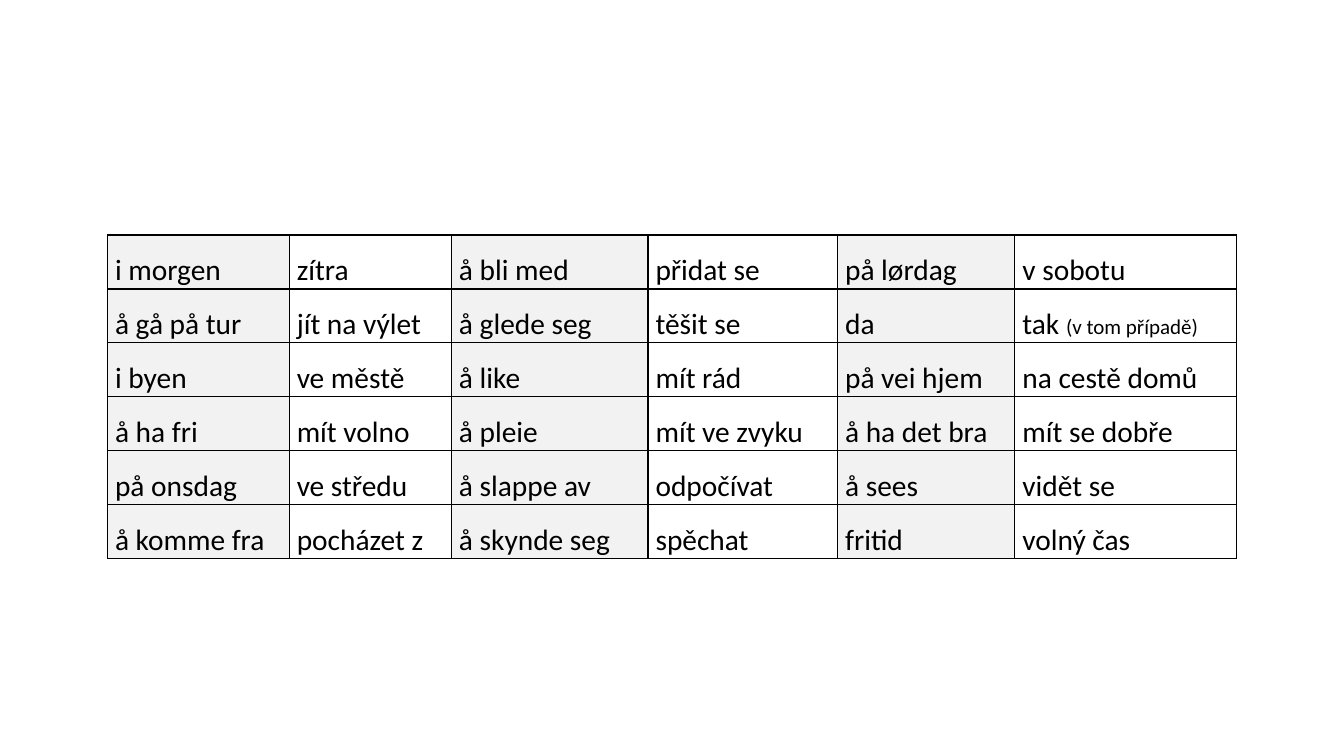
"""Build a Norwegian-Czech vocabulary slide with one six-column table."""
from dataclasses import dataclass
from typing import Optional

from lxml import etree
from pptx import Presentation
from pptx.dml.color import RGBColor
from pptx.enum.text import PP_ALIGN
from pptx.oxml.ns import qn
from pptx.util import Pt

JUSTIFY = PP_ALIGN.JUSTIFY
BLACK = RGBColor(0x00, 0x00, 0x00)
LIGHT_GREY = RGBColor(0xF2, 0xF2, 0xF2)
FONT = "Calibri"
WORD_SIZE = Pt(21)
NOTE_SIZE = Pt(15)
SIDE_MARGIN = Pt(5.4)
BORDER_WIDTH = Pt(1)
ROW_HEIGHT = Pt(26.64)
BORDER_TAGS = ("a:lnL", "a:lnR", "a:lnT", "a:lnB")


@dataclass(frozen=True)
class WordColumn:
    width: float
    words: tuple[str, ...]
    fill: Optional[RGBColor] = None


COLUMNS = (
    WordColumn(129.8, ("i morgen", "å gå på tur", "i byen", "å ha fri",
                       "på onsdag", "å komme fra"), LIGHT_GREY),
    WordColumn(115.9, ("zítra", "jít na výlet", "ve městě", "mít volno",
                       "ve středu", "pocházet z")),
    WordColumn(140.4, ("å bli med", "å glede seg", "å like", "å pleie",
                       "å slappe av", "å skynde seg"), LIGHT_GREY),
    WordColumn(135.4, ("přidat se", "těšit se", "mít rád", "mít ve zvyku",
                       "odpočívat", "spěchat")),
    WordColumn(126.7, ("på lørdag", "da", "på vei hjem", "å ha det bra",
                       "å sees", "fritid"), LIGHT_GREY),
    WordColumn(158.4, ("v sobotu", "tak ", "na cestě domů", "mít se dobře",
                       "vidět se", "volný čas")),
)
NOTES = {"tak ": "(v tom případě)"}


def add_borders(cell) -> None:
    properties = cell._tc.get_or_add_tcPr()
    for tag in BORDER_TAGS:
        line = etree.SubElement(properties, qn(tag), w=str(BORDER_WIDTH))
        solid = etree.SubElement(line, qn("a:solidFill"))
        etree.SubElement(solid, qn("a:srgbClr"), val=str(BLACK))


def format_span(span, size: Pt) -> None:
    span.font.name = FONT
    span.font.size = size
    span.font.color.rgb = BLACK


def fill_cell(cell, word: str, fill: Optional[RGBColor]) -> None:
    cell.margin_left = cell.margin_right = SIDE_MARGIN
    cell.margin_top = cell.margin_bottom = 0
    add_borders(cell)
    if fill is None:
        cell.fill.background()
    else:
        cell.fill.solid()
        cell.fill.fore_color.rgb = fill
    para = cell.text_frame.paragraphs[0]
    para.text = word
    para.alignment = JUSTIFY
    para.line_spacing = 1.5
    para.space_after = Pt(8)
    format_span(para.runs[0], WORD_SIZE)
    if word in NOTES:
        note = para.add_run()
        note.text = NOTES[word]
        format_span(note, NOTE_SIZE)


def add_vocabulary(page) -> None:
    row_count = len(COLUMNS[0].words)
    total_width = Pt(sum(column.width for column in COLUMNS))
    table = page.shapes.add_table(row_count, len(COLUMNS), Pt(76.8), Pt(167.8),
                                  total_width, Pt(204.5)).table
    table.first_row = False
    table.horz_banding = False
    for row in table.rows:
        row.height = ROW_HEIGHT
    for column_index, column in enumerate(COLUMNS):
        table.columns[column_index].width = Pt(column.width)
        for row_index, word in enumerate(column.words):
            fill_cell(table.cell(row_index, column_index), word, column.fill)


def main() -> None:
    deck = Presentation()
    deck.slide_width = Pt(960)
    deck.slide_height = Pt(540)
    page = deck.slides.add_slide(deck.slide_layouts[6])
    add_vocabulary(page)
    deck.save("out.pptx")


if __name__ == "__main__":
    main()
